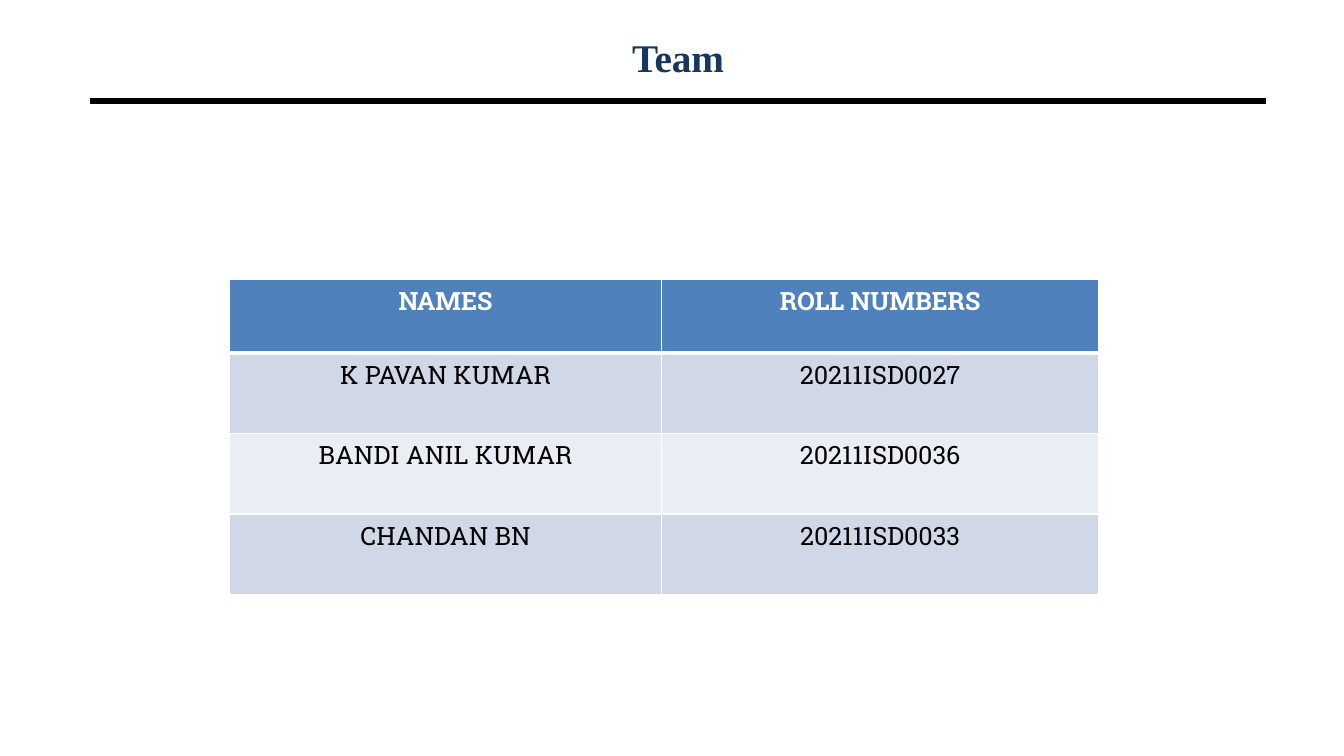
from lxml import etree
from pptx import Presentation
from pptx import util as u
from pptx.dml.color import RGBColor
from pptx.enum import shapes, text
from pptx.oxml import ns

WIDTH, HEIGHT = u.Inches(13.33), u.Inches(7.5)
MARGIN, CONTENT_W = u.Inches(0.89), u.Inches(11.67)
COLUMNS = (4.28, 4.34)
HEADER_H, MEMBER_H = 0.73, 0.8

BLACK = RGBColor(0x00, 0x00, 0x00)
WHITE = RGBColor(0xFF, 0xFF, 0xFF)
NAVY = RGBColor(0x17, 0x37, 0x5E)
BLUE = RGBColor(0x4F, 0x81, 0xBD)
BANDS = (RGBColor(0xD0, 0xD8, 0xE8), RGBColor(0xE9, 0xED, 0xF4))

TITLE_FONT = {"name": "Times New Roman", "size": u.Pt(28), "bold": True}
HEADER_FONT = {"name": "Roboto Slab", "size": u.Pt(18), "bold": True}
MEMBER_FONT = {**HEADER_FONT, "bold": False}

TEAM = (
    ("NAMES", "ROLL NUMBERS"),
    ("K PAVAN KUMAR", "20211ISD0027"),
    ("BANDI ANIL KUMAR", "20211ISD0036"),
    ("CHANDAN BN", "20211ISD0033"),
)


def write(tf, words, font, color):
    """Fill a text frame with one centred, formatted paragraph."""
    p = tf.paragraphs[0]
    p.alignment = text.PP_ALIGN.CENTER
    r = p.add_run()
    r.text = words
    for name, value in font.items():
        setattr(r.font, name, value)
    r.font.color.rgb = color


def add_title(s, words):
    sp = s.shapes.title
    box = {"left": MARGIN, "top": int(HEIGHT * 0.04),
           "width": CONTENT_W, "height": int(HEIGHT * 0.07)}
    for name, value in box.items():
        setattr(sp, name, value)
    sp.text_frame.vertical_anchor = text.MSO_ANCHOR.MIDDLE
    write(sp.text_frame, words, TITLE_FONT, NAVY)


def add_rule(s, y):
    line = s.shapes.add_connector(
        shapes.MSO_CONNECTOR.STRAIGHT, MARGIN, y, MARGIN + CONTENT_W, y)
    line.line.color.rgb = BLACK
    line.line.width = u.Pt(4.5)
    etree.SubElement(line._element.spPr, ns.qn("a:effectLst"))


def add_borders(cell, widths):
    """Draw white cell borders; widths maps L, R, T, B to points."""
    tc_pr = cell._tc.get_or_add_tcPr()
    for i, (side, points) in enumerate(widths.items()):
        ln = etree.Element(ns.qn(f"a:ln{side}"), w=str(u.Pt(points)))
        fill = etree.SubElement(ln, ns.qn("a:solidFill"))
        etree.SubElement(fill, ns.qn("a:srgbClr"), val=str(WHITE))
        tc_pr.insert(i, ln)


def add_team_table(s, rows):
    heights = [HEADER_H] + [MEMBER_H] * (len(rows) - 1)
    table = s.shapes.add_table(
        len(rows), len(COLUMNS), u.Inches(2.28), u.Inches(2.77),
        u.Inches(sum(COLUMNS)), u.Inches(sum(heights))).table
    for column, width in zip(table.columns, COLUMNS):
        column.width = u.Inches(width)
    for i, (row, height) in enumerate(zip(table.rows, heights)):
        row.height = u.Inches(height)
        header = i == 0
        for cell, words in zip(row.cells, rows[i]):
            cell.fill.solid()
            cell.fill.fore_color.rgb = BLUE if header else BANDS[(i - 1) % 2]
            add_borders(cell, {"L": 1, "R": 1, "T": 3 if i == 1 else 1,
                               "B": 3 if header else 1})
            write(cell.text_frame, words,
                  HEADER_FONT if header else MEMBER_FONT,
                  WHITE if header else BLACK)


def main():
    prs = Presentation()
    prs.slide_width, prs.slide_height = WIDTH, HEIGHT
    s = prs.slides.add_slide(prs.slide_layouts.get_by_name("Title Only"))
    add_rule(s, u.Inches(1))
    add_title(s, "Team")
    add_team_table(s, TEAM)
    prs.save("out.pptx")


if __name__ == "__main__":
    main()
